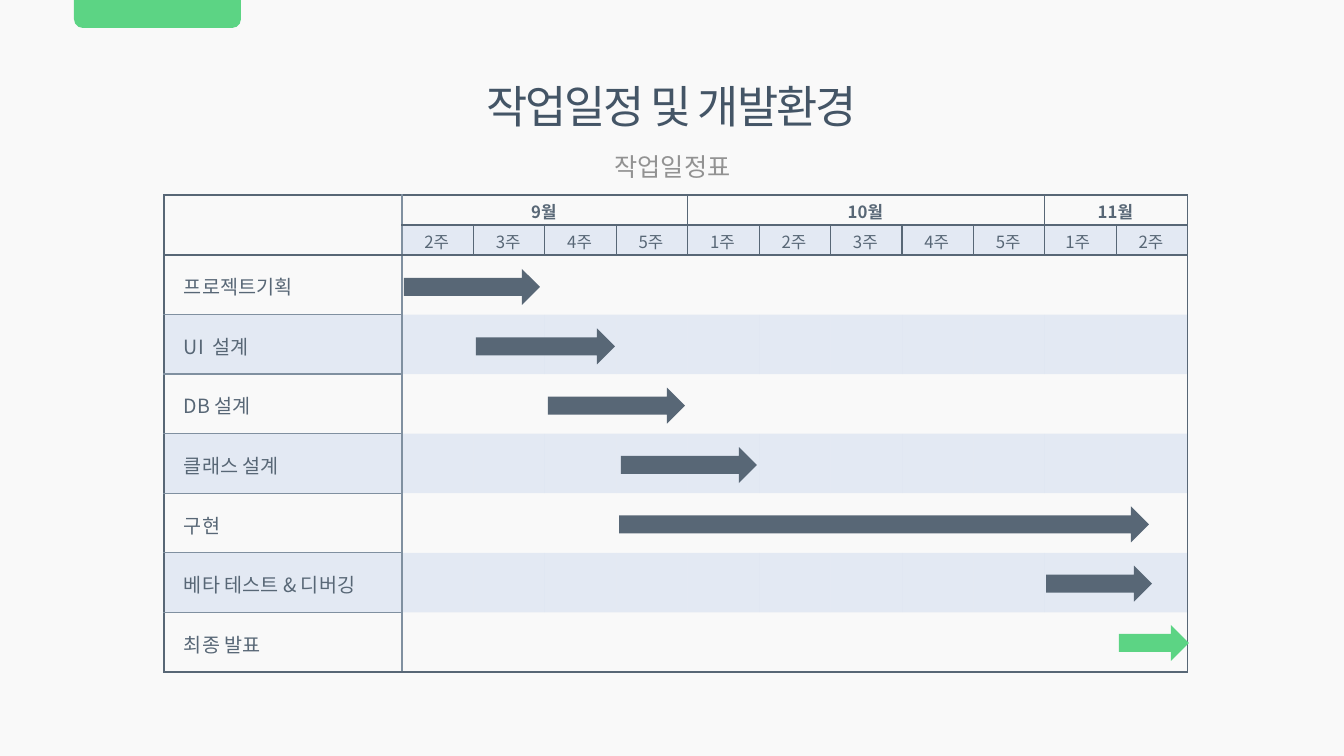
from pptx import Presentation
from pptx.dml.color import RGBColor
from pptx.enum.shapes import MSO_SHAPE
from pptx.enum.text import MSO_ANCHOR, PP_ALIGN
from pptx.oxml.ns import qn
from pptx.util import Pt
from lxml import etree

CENTER, LEFT = PP_ALIGN.CENTER, PP_ALIGN.LEFT
MIDDLE = MSO_ANCHOR.MIDDLE
ARROW, TAB = MSO_SHAPE.RIGHT_ARROW, MSO_SHAPE.ROUND_2_SAME_RECTANGLE

PAPER = RGBColor(0xF9, 0xF9, 0xF9)
GREEN = RGBColor(0x5C, 0xD4, 0x84)
NAVY = RGBColor(0x44, 0x55, 0x66)
SLATE = RGBColor(0x58, 0x67, 0x76)
MIST = RGBColor(0x80, 0x90, 0xA0)
BLUE = RGBColor(0x8F, 0xAA, 0xDC)
GRAY = RGBColor(0x92, 0x92, 0x92)
FONT = "Noto Sans CJK KR"

TITLE = "작업일정 및 개발환경"
SUBTITLE = "작업일정표"
MONTHS = [
    ("9월", ["2주", "3주", "4주", "5주"]),
    ("10월", ["1주", "2주", "3주", "4주", "5주"]),
    ("11월", ["1주 ", "2주"]),
]
# task, arrow left, arrow width, arrow colour
TASKS = [
    ("프로젝트기획", 404, 136, SLATE),
    ("UI  설계", 476, 139, SLATE),
    ("DB 설계", 548, 137, SLATE),
    ("클래스 설계", 621, 136, SLATE),
    ("구현", 619, 530, SLATE),
    ("베타 테스트 & 디버깅", 1046, 106, SLATE),
    ("최종 발표", 1119, 70, GREEN),
]

SLIDE_W, SLIDE_H = 1344, 756
TABLE_X, TABLE_Y, TABLE_W, TABLE_H = 164, 195, 1024, 477
TASK_W, HEAD_H, HEAD_ROWS = 238, 30, 2
ARROW_Y, LAST_ARROW_Y, ARROW_H = 269, 625, 36
EMU_PER_PX = 12192000 / SLIDE_W


def px(value):
    return round(value * EMU_PER_PX)


def box(*lengths):
    return [px(v) for v in lengths]


def write(tf, text, size, color, align=CENTER, bold=False):
    p = tf.paragraphs[0]
    p.alignment = align
    r = p.add_run()
    r.text = text
    r.font.size, r.font.bold, r.font.name = Pt(size), bold, FONT
    r.font.color.rgb = color
    etree.SubElement(r.font._element, qn("a:ea"), typeface=FONT)
    return p, r


def tight(tf):
    tf.word_wrap = True
    tf.vertical_anchor = MIDDLE
    tf.margin_left = tf.margin_right = tf.margin_top = tf.margin_bottom = 0


def paint(sp, color):
    sp.shadow.inherit = False
    sp.fill.solid()
    sp.fill.fore_color.rgb = color
    sp.line.fill.background()


def left_edge(row, col):
    """Colour of the line left of a cell; col may be one past the last."""
    if col == 1:
        return MIST
    return SLATE if col in (0, n_cols) or row < HEAD_ROWS else None


def top_edge(row, col):
    """Colour of the line above a cell; row may be one past the last."""
    if row <= HEAD_ROWS or row == n_rows:
        return SLATE
    return MIST if col == 0 else None


def style_cell(cell, row, col):
    tcPr = cell._tc.get_or_add_tcPr()
    edges = {"a:lnL": left_edge(row, col), "a:lnR": left_edge(row, col + 1),
             "a:lnT": top_edge(row, col), "a:lnB": top_edge(row + 1, col)}
    for tag, color in edges.items():
        ln = etree.SubElement(tcPr, qn(tag), w=str(Pt(1)))
        if color is None:
            etree.SubElement(ln, qn("a:noFill"))
        else:
            fill = etree.SubElement(ln, qn("a:solidFill"))
            etree.SubElement(fill, qn("a:srgbClr"), val=str(color))
    if row % 2 and (row >= HEAD_ROWS or col):
        cell.fill.solid()
        cell.fill.fore_color.rgb = BLUE
        etree.SubElement(next(tcPr.find(qn("a:solidFill")).iter(qn("a:srgbClr"))),
                         qn("a:alpha"), val="20000")
    else:
        cell.fill.background()
    cell.vertical_anchor = MIDDLE
    cell.margin_left, cell.margin_right = px(8), px(10)
    cell.margin_top, cell.margin_bottom = px(4), px(1)
    if not cell.text_frame.text:
        etree.SubElement(cell.text_frame.paragraphs[0]._p, qn("a:endParaRPr"), sz="1200")


prs = Presentation()
prs.slide_width, prs.slide_height = box(SLIDE_W, SLIDE_H)
s = prs.slides.add_slide(prs.slide_layouts[5])
s.background.fill.solid()
s.background.fill.fore_color.rgb = PAPER

title = s.shapes.title
title.left, title.top, title.width, title.height = box(432, 74, 479, 64)
tight(title.text_frame)
p, r = write(title.text_frame, TITLE, 32, NAVY)
r.font._element.set("spc", "-150")

tab = s.shapes.add_shape(TAB, *box(74, 0, 167, 28))
tab.adjustments[0], tab.adjustments[1] = 0, 0.32
paint(tab, GREEN)

n_rows = HEAD_ROWS + len(TASKS)
n_cols = 1 + sum(len(weeks) for _, weeks in MONTHS)
table = s.shapes.add_table(n_rows, n_cols, *box(TABLE_X, TABLE_Y, TABLE_W, TABLE_H)).table
table.first_row = table.horz_banding = False
for i, column in enumerate(table.columns):
    column.width = px((TABLE_W - TASK_W) / (n_cols - 1) if i else TASK_W)
for i, row in enumerate(table.rows):
    row.height = px(HEAD_H if i < HEAD_ROWS else (TABLE_H - HEAD_ROWS * HEAD_H) / len(TASKS))

table.cell(0, 0).merge(table.cell(1, 0))
col = 1
for month, weeks in MONTHS:
    table.cell(0, col).merge(table.cell(0, col + len(weeks) - 1))
    write(table.cell(0, col).text_frame, month, 12, SLATE, bold=True)
    for week in weeks:
        write(table.cell(1, col).text_frame, week, 12, SLATE)
        col += 1

arrow_step = (LAST_ARROW_Y - ARROW_Y) / (len(TASKS) - 1)
for i, (task, x, width, color) in enumerate(TASKS):
    p, r = write(table.cell(HEAD_ROWS + i, 0).text_frame, task, 14, SLATE, LEFT)
    p._p.get_or_add_pPr().set("marL", str(px(12)))
    arrow = s.shapes.add_shape(ARROW, *box(x, ARROW_Y + i * arrow_step, width, ARROW_H))
    paint(arrow, color)

for row in range(n_rows):
    for col in range(n_cols):
        style_cell(table.cell(row, col), row, col)

subtitle = s.shapes.add_textbox(*box(497, 146, 351, 40))
tight(subtitle.text_frame)
write(subtitle.text_frame, SUBTITLE, 18, GRAY)

prs.save("out.pptx")
